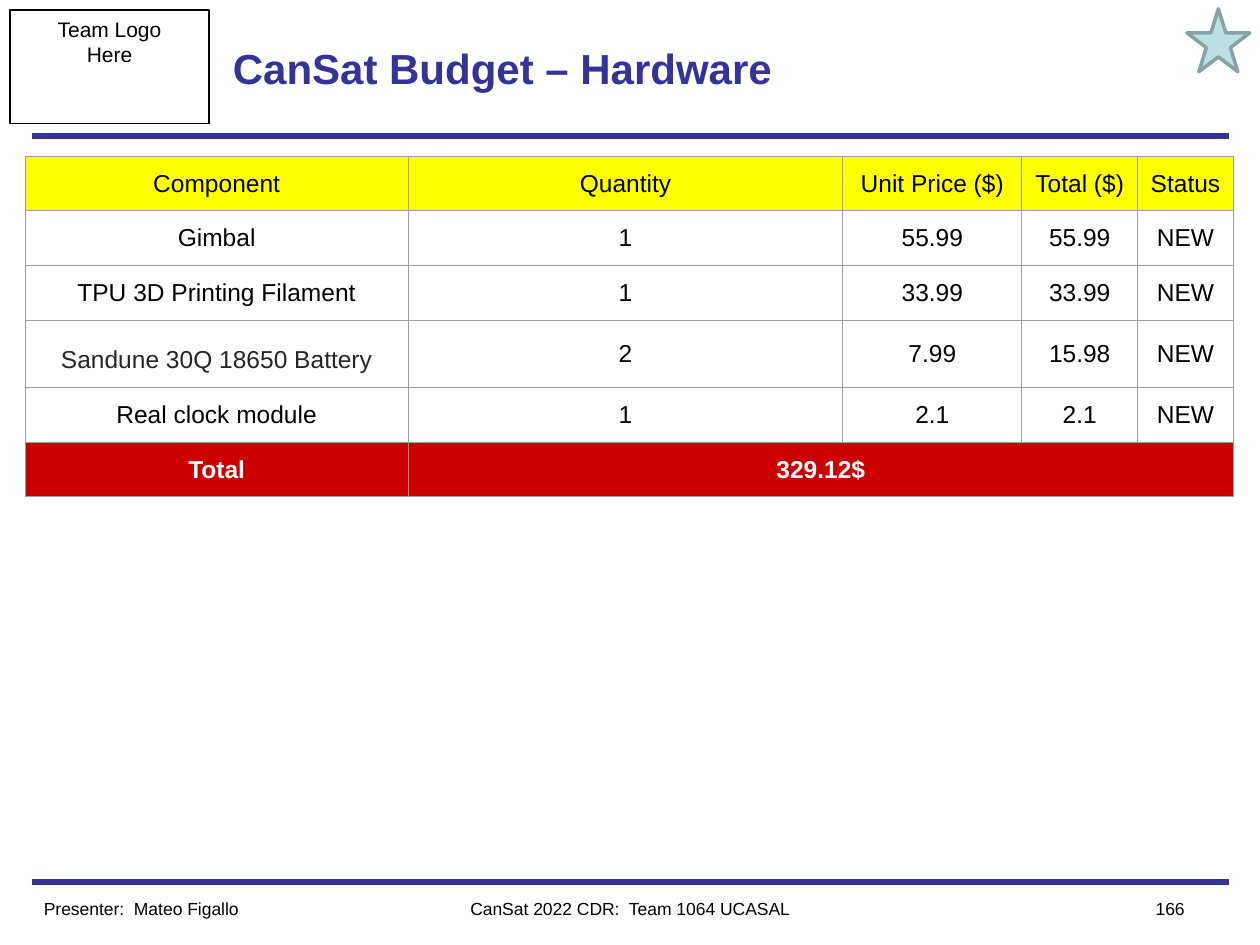
"""Build the CanSat hardware budget slide."""
from lxml import etree
from pptx import Presentation, util as u
from pptx.dml.color import RGBColor
from pptx.enum import shapes, text
from pptx.oxml.ns import qn

HUES = {"navy": "333399", "black": "000000", "white": "FFFFFF", "gray": "262626",
        "edge": "9E9E9E", "gold": "FFFF00", "red": "CC0000",
        "star": "BBE0E3", "rim": "88A3A5"}
INK = {name: RGBColor.from_string(code) for name, code in HUES.items()}
LEFT, MID, RIGHT = text.PP_ALIGN.LEFT, text.PP_ALIGN.CENTER, text.PP_ALIGN.RIGHT

deck = Presentation()
deck.slide_width, deck.slide_height = u.Inches(10), u.Inches(7.5)
slide = deck.slides.add_slide(deck.slide_layouts[6])
items = slide.shapes


def style(para, size, hue="black", align=LEFT, bold=False):
    para.alignment = align
    para.font.name, para.font.size, para.font.bold = "Arial", u.Pt(size), bold
    para.font.color.rgb = INK[hue]


def label(words, box, size, **look):
    item = items.add_textbox(*map(u.Inches, box))
    frame = item.text_frame
    frame.word_wrap = True
    frame.text = words
    for para in frame.paragraphs:
        style(para, size, **look)
    return item


for y in (7, 1.08):
    rule = items.add_connector(shapes.MSO_CONNECTOR.STRAIGHT, u.Inches(0.25),
                               u.Inches(y), u.Inches(9.75), u.Inches(y))
    rule.line.color.rgb, rule.line.width = INK["navy"], u.Pt(3)
    etree.SubElement(rule._element.spPr, qn("a:effectLst"))

logo = label("Team Logo\nHere", (0.08, 0.08, 1.58, 0.9), 12, align=MID)
logo.line.color.rgb, logo.line.width = INK["black"], u.Pt(0.75)

title = label("CanSat Budget – Hardware", (1.75, 0.08, 6.5, 0.92), 24,
              hue="navy", bold=True)
title.text_frame.vertical_anchor = text.MSO_ANCHOR.MIDDLE

rows = [
    ("Component", "Quantity", "Unit Price ($)", "Total ($)", "Status"),
    ("Gimbal", "1", "55.99", "55.99", "NEW"),
    ("TPU 3D Printing Filament", "1", "33.99", "33.99", "NEW"),
    ("Sandune 30Q 18650 Battery", "2", "7.99", "15.98", "NEW"),
    ("Real clock module", "1", "2.1", "2.1", "NEW"),
    ("Total", "329.12$", "", "", ""),
]
wide = (3.04, 3.45, 1.42, 0.92, 0.76)
high = 0.43
last = len(rows) - 1
fills = {0: "gold", last: "red"}
grid = items.add_table(len(rows), len(wide), u.Inches(0.2), u.Inches(1.24),
                       u.Inches(sum(wide)), u.Inches(high * len(rows))).table
grid.first_row = grid.horz_banding = False
for col, width in zip(grid.columns, wide):
    col.width = u.Inches(width)
for r, row in enumerate(rows):
    grid.rows[r].height = u.Inches(high)
    for c, words in enumerate(row):
        cell = grid.cell(r, c)
        cell.text = words
        cell.vertical_anchor = text.MSO_ANCHOR.MIDDLE
        cell.margin_left = cell.margin_right = u.Inches(0.1)
        cell.margin_top = cell.margin_bottom = u.Inches(0.1)
        style(cell.text_frame.paragraphs[0], 14, align=MID, bold=r == last,
              hue="white" if r == last else "black")
        props = cell._tc.get_or_add_tcPr()
        for side in "LRTB":
            edge = etree.SubElement(props, qn("a:ln" + side), w=str(u.Pt(0.75)))
            paint = etree.SubElement(edge, qn("a:solidFill"))
            etree.SubElement(paint, qn("a:srgbClr"), val=HUES["edge"])
        if r in fills:
            cell.fill.solid()
            cell.fill.fore_color.rgb = INK[fills[r]]
        else:
            cell.fill.background()
grid.cell(last, 1).merge(grid.cell(last, len(wide) - 1))
power = grid.cell(3, 0).text_frame.paragraphs[0]
power.line_spacing, power.space_after = 1.43, u.Pt(11)
power.font.color.rgb = INK["gray"]

for words, x, width, align in (
        ("Presenter:  Mateo Figallo", 0.25, 2.5, LEFT),
        ("CanSat 2022 CDR:  Team 1064 UCASAL", 3, 4, MID),
        ("166", 8.75, 0.75, RIGHT)):
    label(words, (x, 7.08, width, 0.27), 10, align=align)

star = items.add_shape(shapes.MSO_SHAPE.STAR_5_POINT,
                       *map(u.Inches, (9.42, 0.07, 0.5, 0.5)))
star.shadow.inherit = False
star.fill.solid()
star.fill.fore_color.rgb = INK["star"]
star.line.color.rgb, star.line.width = INK["rim"], u.Pt(2)

deck.save("out.pptx")
